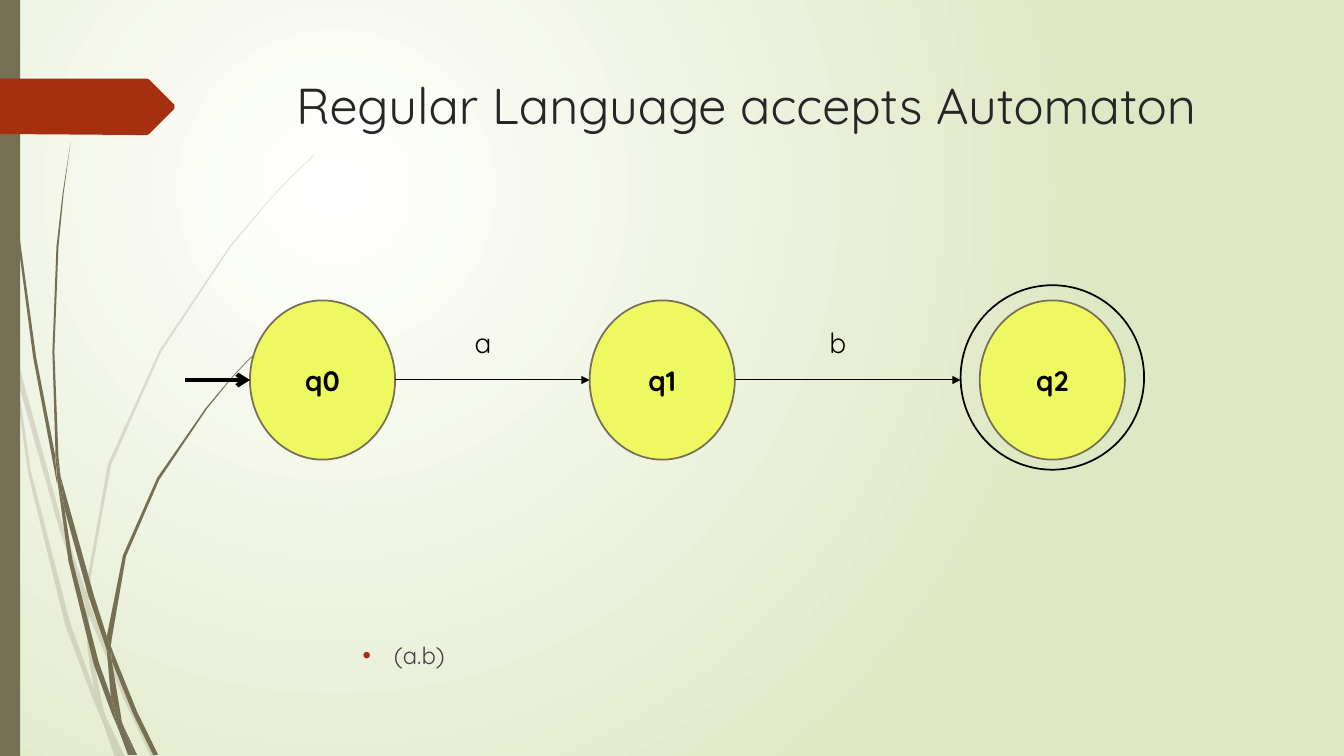
import pptx
import pptx.util
import pptx.dml.color
import pptx.enum.shapes
import pptx.enum.text
import pptx.oxml.ns
from lxml import etree

RGBColor = pptx.dml.color.RGBColor
MSO_SHAPE = pptx.enum.shapes.MSO_SHAPE
ALIGN = pptx.enum.text.PP_ALIGN
qn = pptx.oxml.ns.qn

PX = 9144
FONT = "Quicksand"
WHITE = RGBColor(0xFF, 0xFF, 0xFF)
PALE_GREEN = RGBColor(0xDF, 0xE8, 0xC4)
OLIVE = RGBColor(0x76, 0x6F, 0x54)
RUST = RGBColor(0xA5, 0x30, 0x10)
YELLOW = RGBColor(0xEE, 0xF9, 0x61)
BLACK = RGBColor(0, 0, 0)
DARK = RGBColor(0x26, 0x26, 0x26)
GREY = RGBColor(0x40, 0x40, 0x40)

LIGHT_GRASS = [
    [(11, 350), (9, 322), (0, 282), (0, 299), (10, 344)],
    [(58, 522), (84, 599), (85, 586), (62, 520), (14, 345), (17, 376)],
    [(92, 607), (88, 596), (88, 610), (123, 694), (150, 751), (155, 751), (127, 692)],
    [(119, 751), (124, 751), (105, 711)],
    [(93, 683), (70, 619), (31, 469), (17, 376), (11, 350), (28, 470), (65, 621), (92, 693),
     (101, 714), (99, 707)],
    [(84, 599), (87, 646), (93, 683), (96, 692), (105, 711), (103, 706), (91, 646), (88, 610),
     (88, 608)],
    [(88, 584), (110, 462), (160, 349), (229, 245), (268, 198), (290, 175), (312, 154),
     (312, 153), (289, 175), (268, 197), (228, 244), (158, 348), (107, 461), (85, 584),
     (85, 586), (88, 596)],
    [(101, 714), (114, 751), (119, 751)],
    [(88, 608), (88, 610), (88, 596), (85, 586), (84, 599)],
    [(96, 692), (93, 683), (99, 707), (101, 714), (119, 751), (105, 711)],
]
DARK_GRASS = [
    [(7, 110), (17, 233), (33, 355), (56, 477), (57, 481), (55, 457), (55, 453), (36, 355),
     (19, 232), (8, 109), (5, 48), (4, 0), (3, 0), (4, 48)],
    [(88, 592), (106, 645), (106, 631), (93, 590), (60, 472), (64, 505)],
    [(113, 649), (110, 641), (111, 656), (132, 708), (152, 749), (157, 749), (136, 706)],
    [(110, 691), (98, 657), (72, 556), (64, 505), (57, 477), (68, 557), (93, 659), (111, 708),
     (117, 722), (116, 717)],
    [(60, 472), (58, 453), (54, 349), (58, 245), (63, 193), (70, 141), (62, 193), (56, 245),
     (52, 349), (55, 449)],
    [(133, 749), (136, 749), (122, 719)],
    [(57, 477), (64, 505), (60, 472), (55, 449), (55, 453)],
    [(111, 633), (125, 552), (158, 476), (205, 406), (231, 374), (245, 359), (261, 344),
     (260, 344), (245, 358), (231, 373), (204, 405), (156, 474), (122, 551), (106, 631),
     (110, 641)],
    [(117, 722), (127, 749), (131, 749)],
    [(106, 645), (110, 691), (116, 706), (122, 719), (121, 716), (111, 656), (109, 651)],
    [(106, 645), (109, 651), (111, 656), (110, 641), (106, 631)],
    [(116, 706), (110, 691), (116, 717), (117, 722), (130, 749), (133, 749), (122, 719)],
]
TAG = [(173, 108), (148, 133), (146, 134), (136, 134), (0, 133), (0, 78), (146, 78), (148, 79),
       (173, 104)]


def px(n):
    """Turn px into EMU."""
    return round(n * PX)


def add_shape(s, kind, box, fill=None, line=None):
    """Add a preset shape with optional fill and outline."""
    sp = s.shapes.add_shape(kind, *map(px, box))
    sp.shadow.inherit = False
    if fill is None:
        sp.fill.background()
    else:
        sp.fill.solid()
        sp.fill.fore_color.rgb = fill
    if line is None:
        sp.line.fill.background()
    else:
        sp.line.color.rgb = line
        sp.line.width = pptx.util.Pt(1.25)
    return sp


def add_run(p, text, size, color, bold=False):
    """Add one formatted run."""
    r = p.add_run()
    r.text = text
    r.font.name = FONT
    r.font.size = pptx.util.Pt(size)
    r.font.color.rgb = color
    r.font.bold = bold


def add_text(s, box, text, size, color):
    """Add a one-line text box and return its paragraph."""
    tf = s.shapes.add_textbox(*map(px, box)).text_frame
    tf.word_wrap = True
    p = tf.paragraphs[0]
    add_run(p, text, size, color)
    return p


def add_arrow(s, x1, x2, y, width, head):
    """Add a horizontal arrow."""
    c = s.shapes.add_connector(pptx.enum.shapes.MSO_CONNECTOR.STRAIGHT,
                               px(x1), px(y), px(x2), px(y))
    c.line.color.rgb = BLACK
    c.line.width = pptx.util.Pt(width)
    etree.SubElement(c.line._get_or_add_ln(), qn("a:tailEnd"), type=head)
    etree.SubElement(c._element.spPr, qn("a:effectLst"))


def add_background(s):
    """Fill the background with a round gradient."""
    fill = s.background.fill
    fill.gradient()
    for stop, color, position in zip(fill.gradient_stops, (WHITE, PALE_GREEN), (0, 1)):
        stop.color.rgb = color
        stop.position = position
    grad = s._element.find(".//" + qn("a:gradFill"))
    grad.remove(grad.find(qn("a:lin")))
    circle = etree.SubElement(grad, qn("a:path"))
    circle.set("path", "circle")
    etree.SubElement(circle, qn("a:fillToRect"), l="50000", t="50000", r="100000", b="100000")


def add_outline(s, x, y, points, color, alpha=None):
    """Draw a filled outline, with alpha in percent."""
    start, *rest = [(x + a, y + b) for a, b in points]
    fb = s.shapes.build_freeform(*start, scale=PX)
    fb.add_line_segments(rest, close=True)
    sp = fb.convert_to_shape()
    sp.shadow.inherit = False
    sp.line.fill.background()
    sp.fill.solid()
    sp.fill.fore_color.rgb = color
    if alpha:
        clr = sp._element.spPr.find(".//" + qn("a:srgbClr"))
        etree.SubElement(clr, qn("a:alpha"), val=str(alpha * 1000))


def add_decoration(s, x, y, h):
    """Draw the grass, side bar and tag at the left edge."""
    for grass, alpha in ((LIGHT_GRASS, 20), (DARK_GRASS, None)):
        for points in grass:
            add_outline(s, x, y, points, OLIVE, alpha)
    add_shape(s, MSO_SHAPE.RECTANGLE, (x, y, 20, h), OLIVE)
    add_outline(s, x, y, TAG, RUST)


def add_automaton(s, x, y):
    """Draw the states, the accepting ring and the transitions."""
    w, h = 144, 158
    mid = y + h / 2
    lefts = [x + 64, x + 401, x + 788]
    ring = lefts[-1] - 19
    for i, left in enumerate(lefts):
        state = add_shape(s, MSO_SHAPE.OVAL, (left, y, w, h), YELLOW, OLIVE)
        tf = state.text_frame
        tf.vertical_anchor = pptx.enum.text.MSO_ANCHOR.MIDDLE
        p = tf.paragraphs[0]
        p.alignment = ALIGN.CENTER
        add_run(p, f"q{i}", 20, BLACK, bold=True)
    add_shape(s, MSO_SHAPE.OVAL, (ring, y - 15, 182, 183), line=BLACK)
    for left, end, label, label_x in ((lefts[0], lefts[1], "a", x + 277),
                                      (lefts[1], ring, "b", x + 629)):
        add_arrow(s, left + w, end, mid, 0.75, "triangle")
        add_text(s, (label_x, y + 20, 41, 44), label, 20, BLACK)
    add_arrow(s, x, lefts[0], mid, 3, "arrow")


def add_expression(s, box):
    """Add the bulleted regular expression."""
    p = add_text(s, box, "(a.b)", 17, GREY)
    pPr = p._p.get_or_add_pPr()
    pPr.set("marL", str(px(81)))
    pPr.set("indent", str(px(-31)))
    color = etree.SubElement(pPr, qn("a:buClr"))
    etree.SubElement(color, qn("a:srgbClr"), val=str(RUST))
    etree.SubElement(pPr, qn("a:buFont"), typeface="Arial")
    etree.SubElement(pPr, qn("a:buChar"), char="•")


def main():
    """Build the slide and save it."""
    prs = pptx.Presentation()
    prs.slide_width, prs.slide_height = px(750 * 16 / 9), px(750)
    s = prs.slides.add_slide(prs.slide_layouts[6])
    add_background(s)
    add_decoration(s, 0, 0, 750)
    add_text(s, (284, 69, 988, 140), "Regular Language accepts Automaton", 36, DARK)
    add_expression(s, (300, 631, 975, 40))
    add_automaton(s, 184, 298)
    prs.save("out.pptx")


if __name__ == "__main__":
    main()
